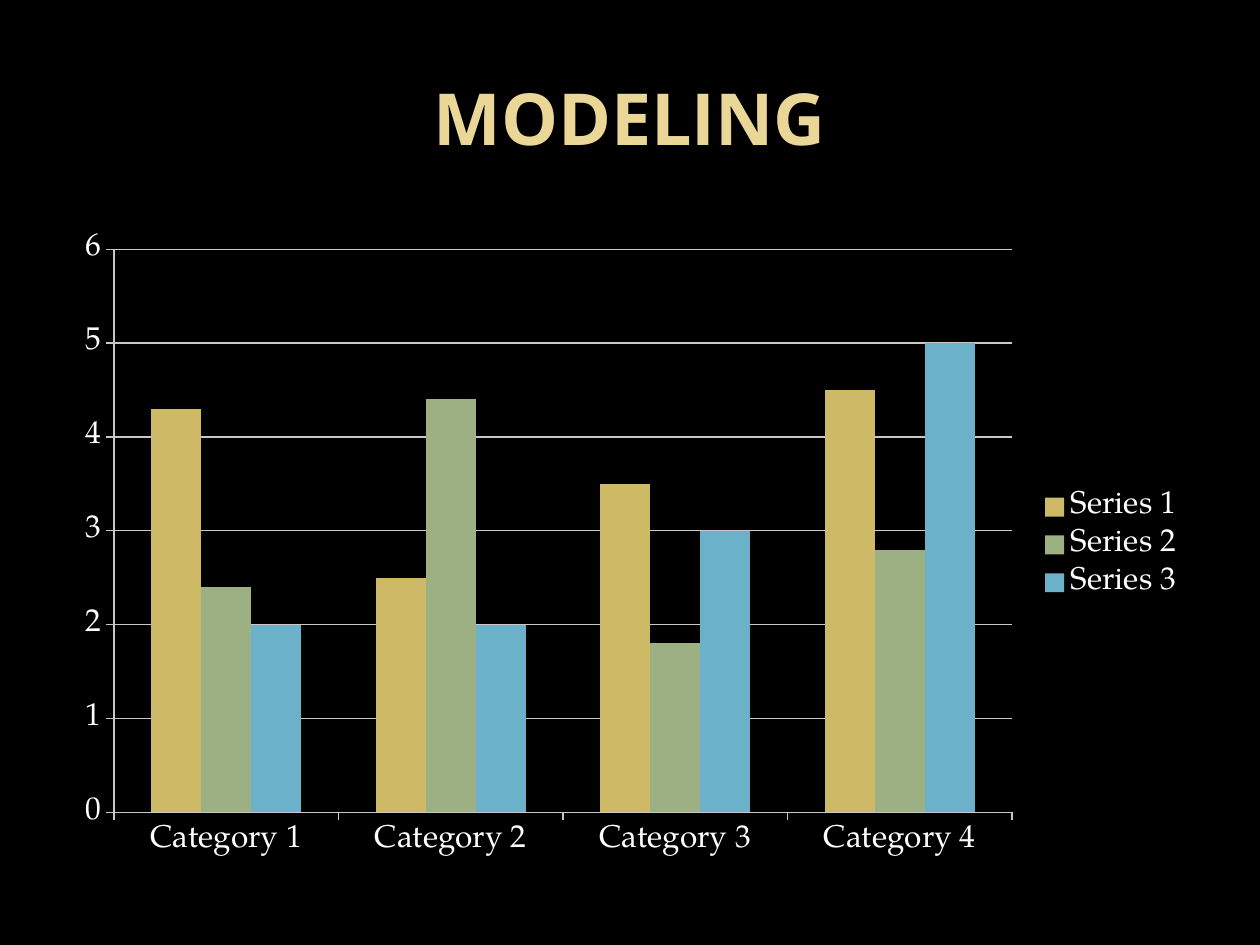
from pptx import Presentation
from pptx import util as u
from pptx.chart.data import CategoryChartData
from pptx.dml.color import RGBColor
from pptx.enum import chart as c, text as t


def color(hex_string):
    return RGBColor.from_string(hex_string)


presentation = Presentation()
presentation.slide_width, presentation.slide_height = u.Inches(10), u.Inches(7.5)
margin = u.Inches(0.5)
content_width = presentation.slide_width - 2 * margin

slide = presentation.slides.add_slide(presentation.slide_layouts[5])
slide.background.fill.solid()
slide.background.fill.fore_color.rgb = color("000000")

# Title
title = slide.shapes.title
title.left, title.top = margin, u.Inches(0.3)
title.width, title.height = content_width, u.Inches(1.25)
title.text_frame.text = "MODELING"
title.text_frame.vertical_anchor = t.MSO_ANCHOR.MIDDLE
paragraph = title.text_frame.paragraphs[0]
paragraph.alignment = t.PP_ALIGN.CENTER
font = paragraph.runs[0].font
font.name, font.size, font.bold = "Open Sans", u.Pt(41), True
font.color.rgb = color("EAD696")

# Chart
series_rows = [
    ("Series 1", (4.3, 2.5, 3.5, 4.5), "CEB966"),
    ("Series 2", (2.4, 4.4, 1.8, 2.8), "9CB084"),
    ("Series 3", (2, 2, 3, 5), "6BB1C9"),
]
data = CategoryChartData()
data.categories = [f"Category {number}" for number in range(1, 5)]
for name, values, _ in series_rows:
    data.add_series(name, values)

chart = slide.shapes.add_chart(
    c.XL_CHART_TYPE.COLUMN_CLUSTERED, margin, u.Inches(1.75),
    content_width, u.Inches(5.15), data).chart
chart.has_title = False
chart.font.name, chart.font.size = "TeX Gyre Pagella", u.Pt(18)
chart.font.color.rgb = color("FFFFFF")

plot = chart.plots[0]
plot.gap_width, plot.overlap = 150, 0
plot.vary_by_categories = False
for series, (_, _, fill) in zip(plot.series, series_rows):
    series.format.fill.solid()
    series.format.fill.fore_color.rgb = color(fill)

chart.has_legend = True
chart.legend.position = c.XL_LEGEND_POSITION.RIGHT
chart.legend.include_in_layout = False

value_axis = chart.value_axis
value_axis.minimum_scale, value_axis.maximum_scale, value_axis.major_unit = 0, 6, 1
value_axis.has_major_gridlines = True
for axis in (chart.category_axis, value_axis):
    axis.major_tick_mark = c.XL_TICK_MARK.OUTSIDE
for line in (chart.category_axis.format.line, value_axis.format.line,
             value_axis.major_gridlines.format.line):
    line.width = u.Pt(0.75)
    line.color.rgb = color("C8C8C8")

presentation.save("out.pptx")
